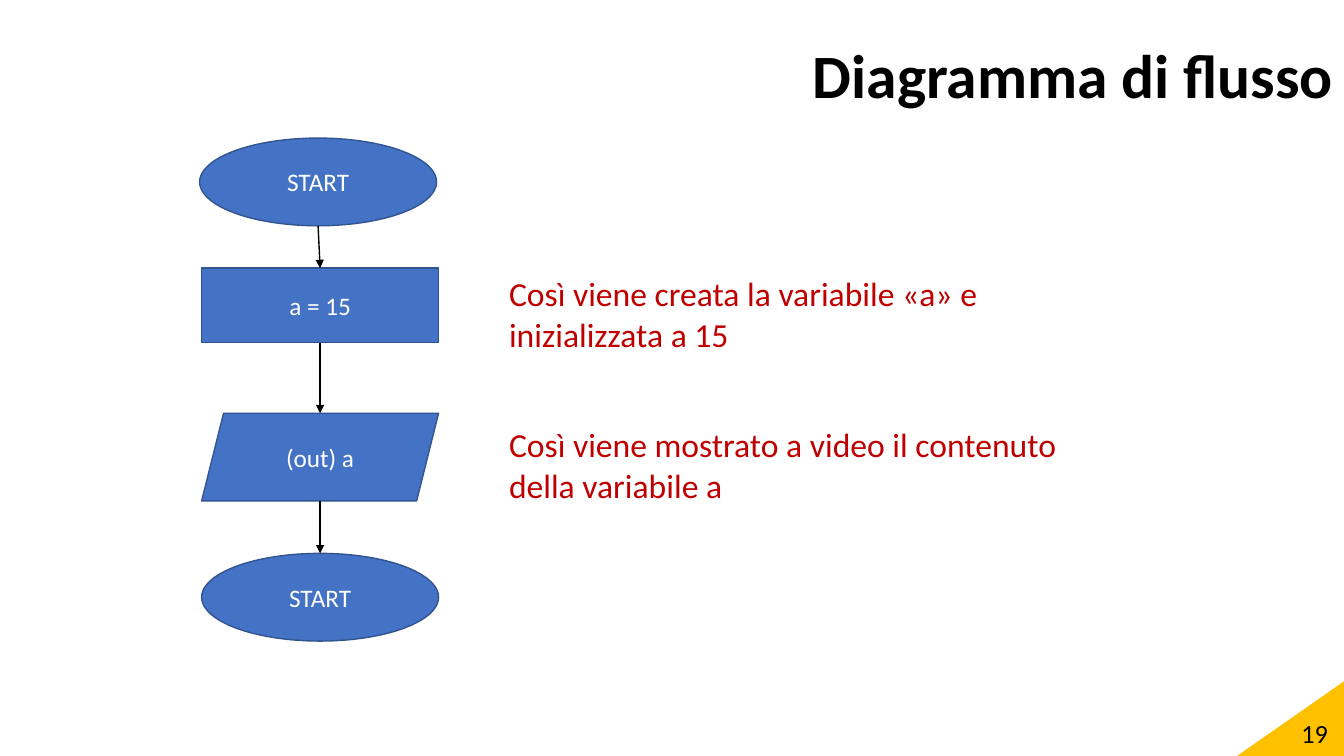
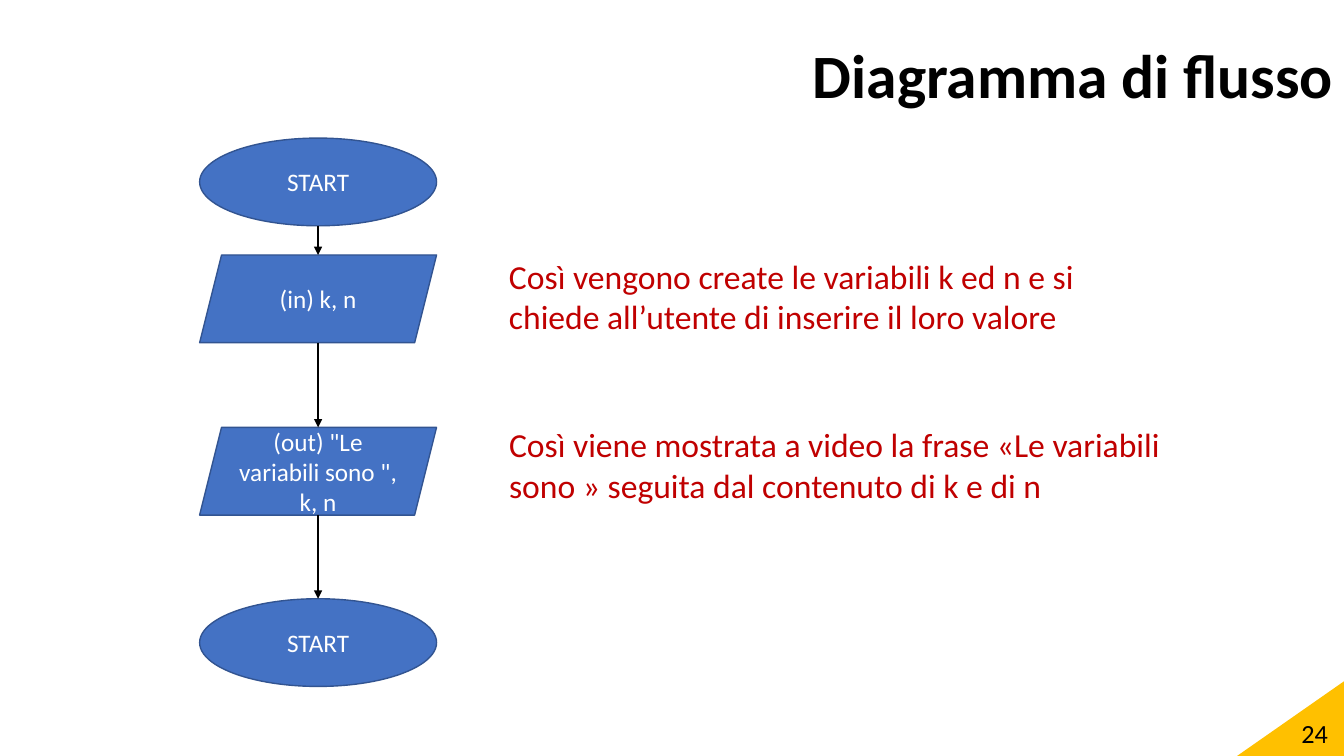
from dataclasses import dataclass
from itertools import pairwise

from lxml import etree
from pptx import Presentation
from pptx.dml.color import RGBColor
from pptx.enum.shapes import MSO_CONNECTOR, MSO_SHAPE
from pptx.enum.text import MSO_ANCHOR, PP_ALIGN
from pptx.oxml.ns import qn
from pptx.util import Inches, Pt

OVAL = MSO_SHAPE.OVAL
RECT = MSO_SHAPE.RECTANGLE
DATA = MSO_SHAPE.PARALLELOGRAM
CORNER = MSO_SHAPE.RIGHT_TRIANGLE
STRAIGHT = MSO_CONNECTOR.STRAIGHT
LEFT, CENTER, RIGHT = PP_ALIGN.LEFT, PP_ALIGN.CENTER, PP_ALIGN.RIGHT
TOP, MIDDLE = MSO_ANCHOR.TOP, MSO_ANCHOR.MIDDLE

FONT = "Calibri"
BLACK, WHITE = "000000", "FFFFFF"
BLUE, NAVY, RED, YELLOW = "4472C4", "325491", "C00000", "FFC000"

SLIDE_W, SLIDE_H = 13.33, 7.5
STEP_W = 2.35
NOTE_X, NOTE_H = 4.95, 0.91
TITLE = "Diagramma di flusso"


@dataclass(frozen=True)
class Step:
    kind: int
    text: str
    y: float
    x: float = 1.98
    h: float = 0.87

    @property
    def center(self) -> float:
        return self.x + STEP_W / 2

    @property
    def bottom(self) -> float:
        return self.y + self.h


@dataclass(frozen=True)
class Note:
    text: str
    y: float
    w: float


@dataclass(frozen=True)
class Flow:
    number: str
    steps: tuple[Step, ...]
    notes: tuple[Note, ...]


FLOWS = (
    Flow(
        "19",
        (
            Step(OVAL, "START", 1.37),
            Step(RECT, "a = 15", 2.66, x=2, h=0.74),
            Step(DATA, "(out) a", 4.1, x=2),
            Step(OVAL, "START", 5.49, x=2),
        ),
        (
            Note("Così viene creata la variabile «a» e inizializzata a 15", 2.66, 6.02),
            Note("Così viene mostrato a video il contenuto della variabile a", 4.16, 6.02),
        ),
    ),
    Flow(
        "24",
        (
            Step(OVAL, "START", 1.37),
            Step(DATA, "(in) k, n", 2.53),
            Step(DATA, '(out) "Le variabili sono ", k, n', 4.24),
            Step(OVAL, "START", 5.94),
        ),
        (
            Note("Così vengono create le variabili k ed n e si chiede all’utente "
                 "di inserire il loro valore", 2.49, 6.16),
            Note("Così viene mostrata a video la frase «Le variabili sono » "
                 "seguita dal contenuto di k e di n", 4.16, 6.82),
        ),
    ),
)


def rgb(color: str) -> RGBColor:
    return RGBColor.from_string(color)


def write(sp, text: str, size: float, color: str, align=LEFT, anchor=TOP,
          bold: bool = False, spacing: float = 1.0) -> None:
    tf = sp.text_frame
    tf.word_wrap = True
    tf.vertical_anchor = anchor
    tf.text = text
    p = tf.paragraphs[0]
    p.alignment = align
    p.line_spacing = spacing
    font = p.runs[0].font
    font.name, font.size, font.bold = FONT, Pt(size), bold
    font.color.rgb = rgb(color)


def add_text(s, x: float, y: float, w: float, h: float, text: str,
             size: float, color: str, **style) -> None:
    sp = s.shapes.add_textbox(Inches(x), Inches(y), Inches(w), Inches(h))
    write(sp, text, size, color, **style)


def add_filled(s, kind: int, x: float, y: float, w: float, h: float, fill: str):
    sp = s.shapes.add_shape(kind, Inches(x), Inches(y), Inches(w), Inches(h))
    sp.shadow.inherit = False
    sp.fill.solid()
    sp.fill.fore_color.rgb = rgb(fill)
    return sp


def add_frame(s, number: str) -> None:
    w, h = 1.06, 0.74
    sp = add_filled(s, CORNER, SLIDE_W - w, SLIDE_H - h, w, h, YELLOW)
    sp.line.fill.background()
    sp.element.spPr.find(qn("a:xfrm")).set("flipH", "1")
    add_text(s, 10.27, 7.07, 3, 0.4, number, 18.7, BLACK, align=RIGHT, anchor=MIDDLE)
    add_text(s, 0, 0.4, SLIDE_W, 0.74, TITLE, 44, BLACK,
             align=RIGHT, bold=True, spacing=0.9)


def add_step(s, step: Step) -> None:
    sp = add_filled(s, step.kind, step.x, step.y, STEP_W, step.h, BLUE)
    sp.line.color.rgb = rgb(NAVY)
    sp.line.width = Pt(1)
    write(sp, step.text, 18, WHITE, align=CENTER, anchor=MIDDLE)


def add_arrow(s, start: Step, end: Step) -> None:
    cx = s.shapes.add_connector(STRAIGHT, Inches(start.center), Inches(start.bottom),
                                Inches(end.center), Inches(end.y))
    cx.line.color.rgb = rgb(BLACK)
    cx.line.width = Pt(1)
    etree.SubElement(cx.line._get_or_add_ln(), qn("a:tailEnd"), type="triangle")
    etree.SubElement(cx._element.spPr, qn("a:effectLst"))


def add_flow(prs, flow: Flow) -> None:
    s = prs.slides.add_slide(prs.slide_layouts[6])
    add_frame(s, flow.number)
    for step in flow.steps:
        add_step(s, step)
    for start, end in pairwise(flow.steps):
        add_arrow(s, start, end)
    for note in flow.notes:
        add_text(s, NOTE_X, note.y, note.w, NOTE_H, note.text, 24, RED)


def main() -> None:
    prs = Presentation()
    prs.slide_width, prs.slide_height = Inches(SLIDE_W), Inches(SLIDE_H)
    for flow in FLOWS:
        add_flow(prs, flow)
    prs.save("out.pptx")


if __name__ == "__main__":
    main()
